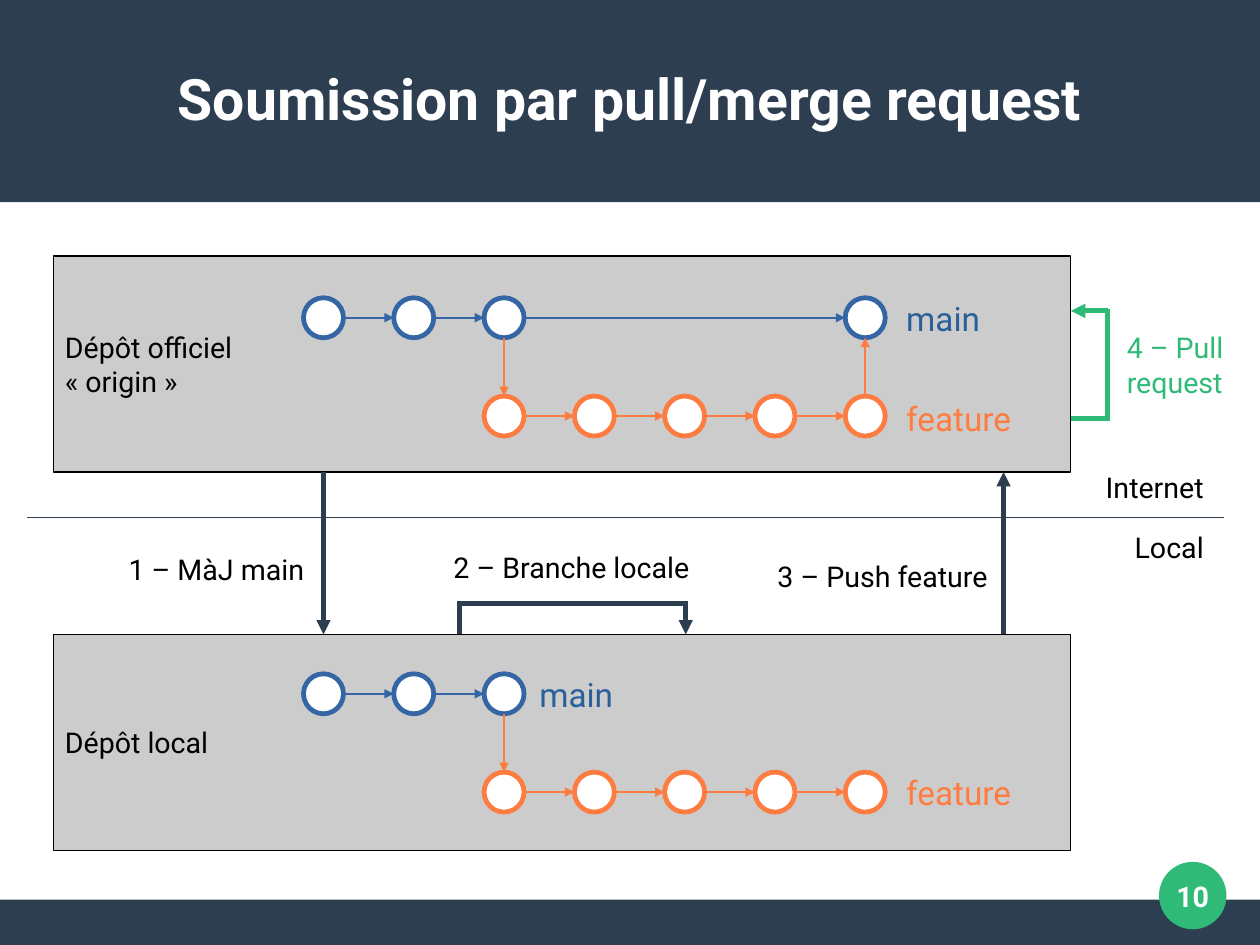
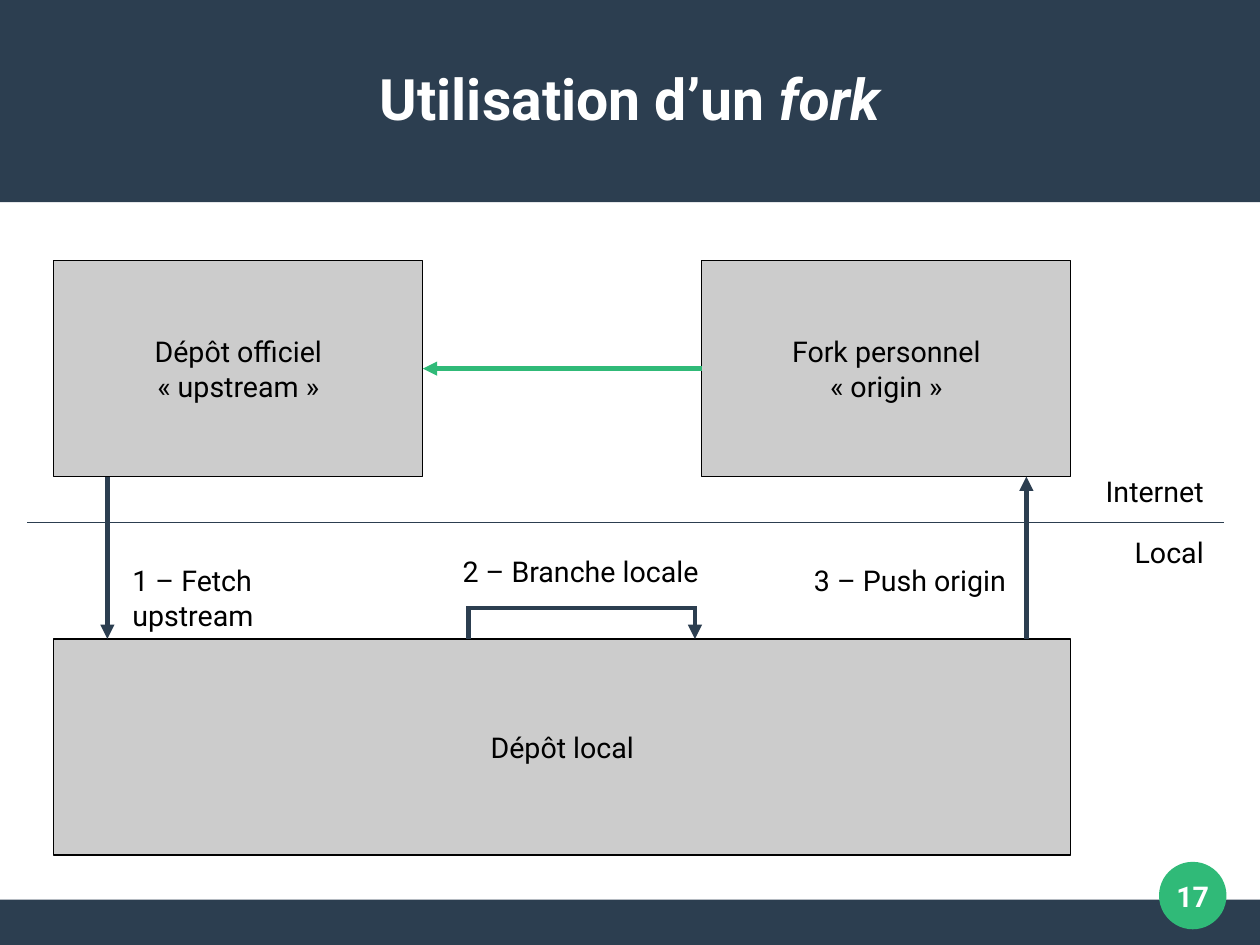
from itertools import pairwise

from lxml import etree
from pptx import Presentation
from pptx.dml.color import RGBColor
from pptx.enum.shapes import MSO_CONNECTOR, MSO_SHAPE
from pptx.enum.text import MSO_ANCHOR, MSO_AUTO_SIZE, PP_ALIGN
from pptx.oxml.ns import qn
from pptx.util import Inches, Pt

LEFT, MID, RIGHT = PP_ALIGN.LEFT, PP_ALIGN.CENTER, PP_ALIGN.RIGHT
RECT, OVAL = MSO_SHAPE.RECTANGLE, MSO_SHAPE.OVAL
STRAIGHT = MSO_CONNECTOR.STRAIGHT

FONT = "Roboto"
COLORS = {
    "navy": "2C3E50", "green": "30BA78", "grey": "CCCCCC", "black": "000000",
    "white": "FFFFFF", "ring": "3465A4", "main": "2A6099", "feature": "FE7C3F",
}
WIDTH, HEIGHT = 28 / 2.54, 21 / 2.54      # 28 by 21 cm
BOX_H = 1.89
STEP, FIRST, RADIUS = 0.79, 2.83, 0.175   # commit grid
FORK, MERGE = 2, 6                        # columns where the branch starts and ends

# Content: boxes are (x, y, width, align, paragraphs),
# labels are (x, y, width, align, size, colour, text),
# arrows are (colour, points), graphs are (main row, feature row, main columns)
SLIDES = [
    {
        "title": [("Soumission par pull/merge request", False)],
        "page": "10",
        "split": 4.53,
        "branch": 4.02,
        "boxes": [
            (0.47, 2.24, 8.9, LEFT, ["Dépôt officiel", "« origin »"]),
            (0.47, 5.55, 8.9, LEFT, ["Dépôt local"]),
        ],
        "labels": [
            (0.59, 4.78, 2.17, RIGHT, 18, "black", "1 – MàJ main"),
            (6.69, 4.84, 2.05, RIGHT, 18, "black", "3 – Push feature"),
            (9.76, 2.84, 1.25, LEFT, 18, "green", "4 – Pull\nrequest"),
            (7.83, 2.56, 1.22, LEFT, 21, "main", "main"),
            (7.83, 3.43, 1.26, LEFT, 21, "feature", "feature"),
            (4.62, 5.85, 1.22, LEFT, 21, "main", "main"),
            (7.83, 6.71, 1.26, LEFT, 21, "feature", "feature"),
        ],
        "arrows": [
            ("navy", [(2.83, 4.13), (2.83, 5.55)]),
            ("navy", [(8.78, 5.55), (8.78, 4.13)]),
            ("green", [(9.37, 3.66), (9.69, 3.66), (9.69, 2.72), (9.37, 2.72)]),
        ],
        "graphs": [
            (2.78, 3.64, [0, 1, FORK, MERGE]),
            (6.07, 6.93, [0, 1, FORK]),
        ],
        "joins": [],
    },
    {
        "title": [("Utilisation d’un ", False), ("fork", True)],
        "page": "17",
        "split": 4.57,
        "branch": 4.1,
        "boxes": [
            (0.47, 2.28, 3.23, MID, ["Dépôt officiel", "« upstream »"]),
            (6.14, 2.28, 3.23, MID, ["Fork personnel", "« origin »"]),
            (0.47, 5.59, 8.9, MID, ["Dépôt local"]),
        ],
        "labels": [
            (1.06, 4.88, 2.3, LEFT, 18, "black", "1 – Fetch upstream"),
            (6.3, 4.88, 2.6, RIGHT, 18, "black", "3 – Push origin"),
        ],
        "arrows": [
            ("navy", [(0.94, 4.17), (0.94, 5.59)]),
            ("navy", [(8.98, 5.59), (8.98, 4.17)]),
        ],
        "graphs": [],
        "joins": [(1, 0)],   # box on the right to box on the left
    },
]


def rgb(name):
    return RGBColor.from_string(COLORS[name])


def add_run(par, text, size, color, bold=False, italic=False):
    run = par.add_run()
    run.text = text
    font = run.font
    font.name, font.size, font.bold, font.italic = FONT, Pt(size), bold, italic
    font.color.rgb = rgb(color)


def write(frame, texts, size, color, align, bold=False):
    frame.word_wrap = True
    for i, text in enumerate(texts):
        par = frame.add_paragraph() if i else frame.paragraphs[0]
        par.alignment = align
        for j, line in enumerate(text.split("\n")):
            if j:
                par.add_line_break()
            add_run(par, line, size, color, bold)


def add_label(slide, x, y, width, align, size, color, text):
    height = 0.1 + (1 + text.count("\n")) * size / 60
    box = slide.shapes.add_textbox(Inches(x), Inches(y), Inches(width), Inches(height))
    write(box.text_frame, [text], size, color, align)


def add_form(slide, kind, x, y, width, height, fill, edge=None, weight=0):
    form = slide.shapes.add_shape(
        kind, Inches(x), Inches(y), Inches(width), Inches(height))
    form.shadow.inherit = False
    form.fill.solid()
    form.fill.fore_color.rgb = rgb(fill)
    if edge:
        form.line.color.rgb = rgb(edge)
        form.line.width = Pt(weight)
    else:
        form.line.fill.background()
    return form


def add_line(slide, start, end, color, weight, head=True):
    line = slide.shapes.add_connector(STRAIGHT, *map(Inches, (*start, *end)))
    line.line.color.rgb = rgb(color)
    line.line.width = Pt(weight)
    if head:
        tip = etree.SubElement(line.line._get_or_add_ln(), qn("a:tailEnd"))
        tip.set("type", "triangle")
    etree.SubElement(line._element.spPr, qn("a:effectLst"))
    return line


def add_route(slide, color, points):
    """Arrow with square corners: each bend is overrun by half the line."""
    parts = list(pairwise(points))
    for i, (start, end) in enumerate(parts):
        last = i == len(parts) - 1
        if not last:
            end = tuple(b + 0.02 * ((b > a) - (b < a)) for a, b in zip(start, end))
        add_line(slide, start, end, color, 3, last)


def add_graph(slide, top, low, trunk):
    def col(i):
        return FIRST + STEP * i

    rows = [(top, trunk, "ring"), (low, range(FORK, MERGE + 1), "feature")]
    for y, cols, color in rows:
        for i in cols:
            add_form(slide, OVAL, col(i) - RADIUS, y - RADIUS,
                     2 * RADIUS, 2 * RADIUS, "white", color, 3)
        for a, b in pairwise(cols):
            add_line(slide, (col(a) + RADIUS, y), (col(b) - RADIUS, y), color, 1.5)
    down, up = top + RADIUS, low - RADIUS
    add_line(slide, (col(FORK), down), (col(FORK), up), "feature", 1.5)
    if MERGE in trunk:
        add_line(slide, (col(MERGE), up), (col(MERGE), down), "feature", 1.5)


def set_master(deck, layout, slide):
    """Bands and page disc go to the master, the title place to the layout."""
    forms = [
        add_form(slide, RECT, 0, 7.87, WIDTH, HEIGHT - 7.87, "navy"),
        add_form(slide, RECT, 0, 0, WIDTH, 1.77, "navy"),
        add_form(slide, OVAL, 10.14, 7.54, 0.59, 0.59, "green"),
    ]
    tree = deck.slide_master.shapes._spTree
    for i, form in enumerate(forms):
        tree.insert(2 + i, form._element)
    title = layout.placeholders[0]
    title.left, title.top = Inches(0.39), Inches(0.33)
    title.width, title.height = Inches(10.24), Inches(1.05)


def set_frame(slide, data):
    """Title and page number."""
    frame = slide.shapes.title.text_frame
    page = slide.shapes.add_textbox(*map(Inches, (10.04, 7.44, 0.79, 0.79))).text_frame
    for part in (frame, page):
        part.margin_left = part.margin_right = part.margin_top = part.margin_bottom = 0
        part.vertical_anchor = MSO_ANCHOR.MIDDLE
        part.auto_size = MSO_AUTO_SIZE.NONE
    par = frame.paragraphs[0]
    par.alignment = MID
    for text, italic in data["title"]:
        add_run(par, text, 36, "white", True, italic)
    write(page, [data["page"]], 18, "white", MID, True)


def fill_slide(slide, data):
    set_frame(slide, data)

    # Repositories
    boxes = []
    for x, y, width, align, texts in data["boxes"]:
        box = add_form(slide, RECT, x, y, width, BOX_H, "grey", "black")
        box.text_frame.vertical_anchor = MSO_ANCHOR.MIDDLE
        write(box.text_frame, texts, 18, "black", align)
        boxes.append(box)

    # Border between the network and the local side
    split, x = data["split"], data["branch"]
    add_line(slide, (0.24, split), (10.71, split), "navy", 0.79, False)
    add_label(slide, 9.43, split - 0.47, 1.2, RIGHT, 18, "black", "Internet")
    add_label(slide, 9.43, split + 0.06, 1.2, RIGHT, 18, "black", "Local")

    # Local branch
    base, bar = split + 1.02, split + 0.75
    add_route(slide, "navy", [(x, base), (x, bar), (x + 1.98, bar), (x + 1.98, base)])
    add_label(slide, x - 0.24, split + 0.23, 2.44, MID, 18, "black",
              "2 – Branche locale")

    # Flows, commits and labels
    for route in data["arrows"]:
        add_route(slide, *route)
    for a, b in data["joins"]:
        line = add_line(slide, (0, 0), (1, 1), "green", 3)
        line.begin_connect(boxes[a], 1)
        line.end_connect(boxes[b], 3)
    for graph in data["graphs"]:
        add_graph(slide, *graph)
    for label in data["labels"]:
        add_label(slide, *label)


def main():
    deck = Presentation()
    deck.slide_width, deck.slide_height = Inches(WIDTH), Inches(HEIGHT)
    layout = deck.slide_layouts[5]
    for i, data in enumerate(SLIDES):
        slide = deck.slides.add_slide(layout)
        if i == 0:
            set_master(deck, layout, slide)
        fill_slide(slide, data)
    deck.save("out.pptx")


if __name__ == "__main__":
    main()
